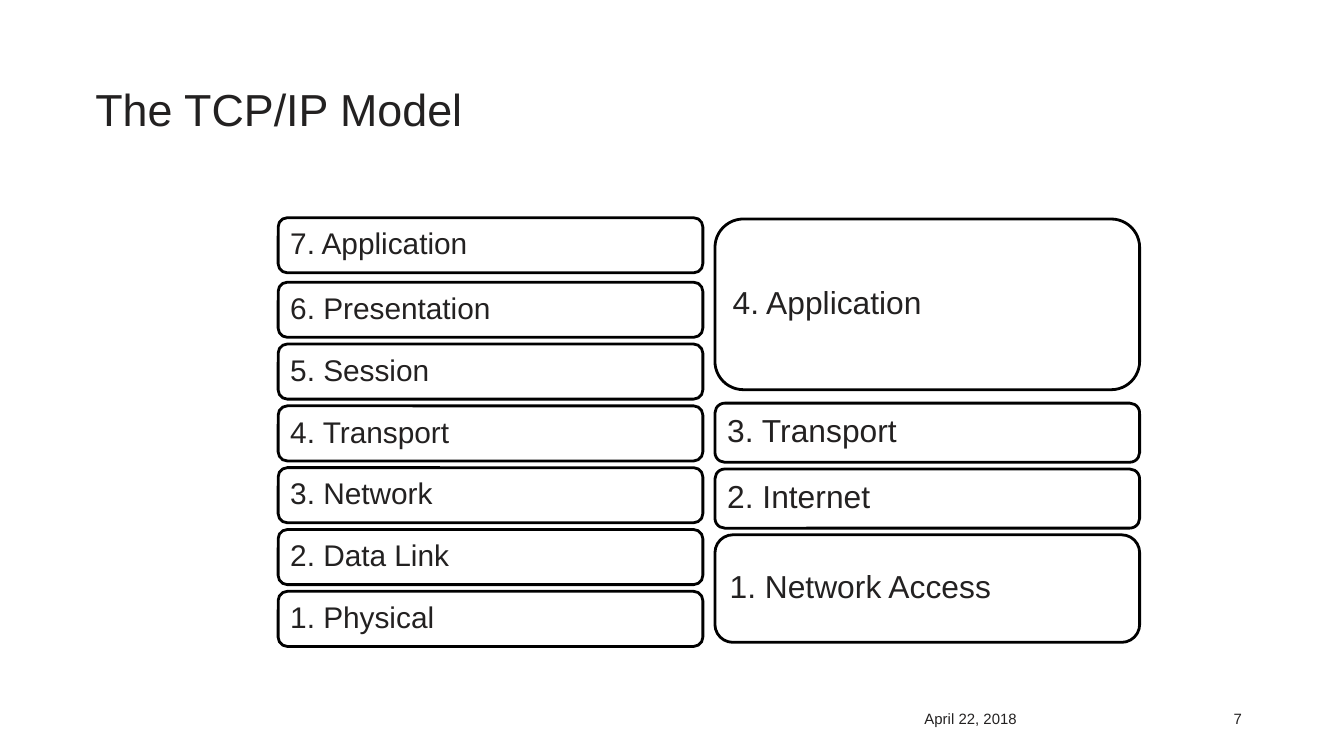
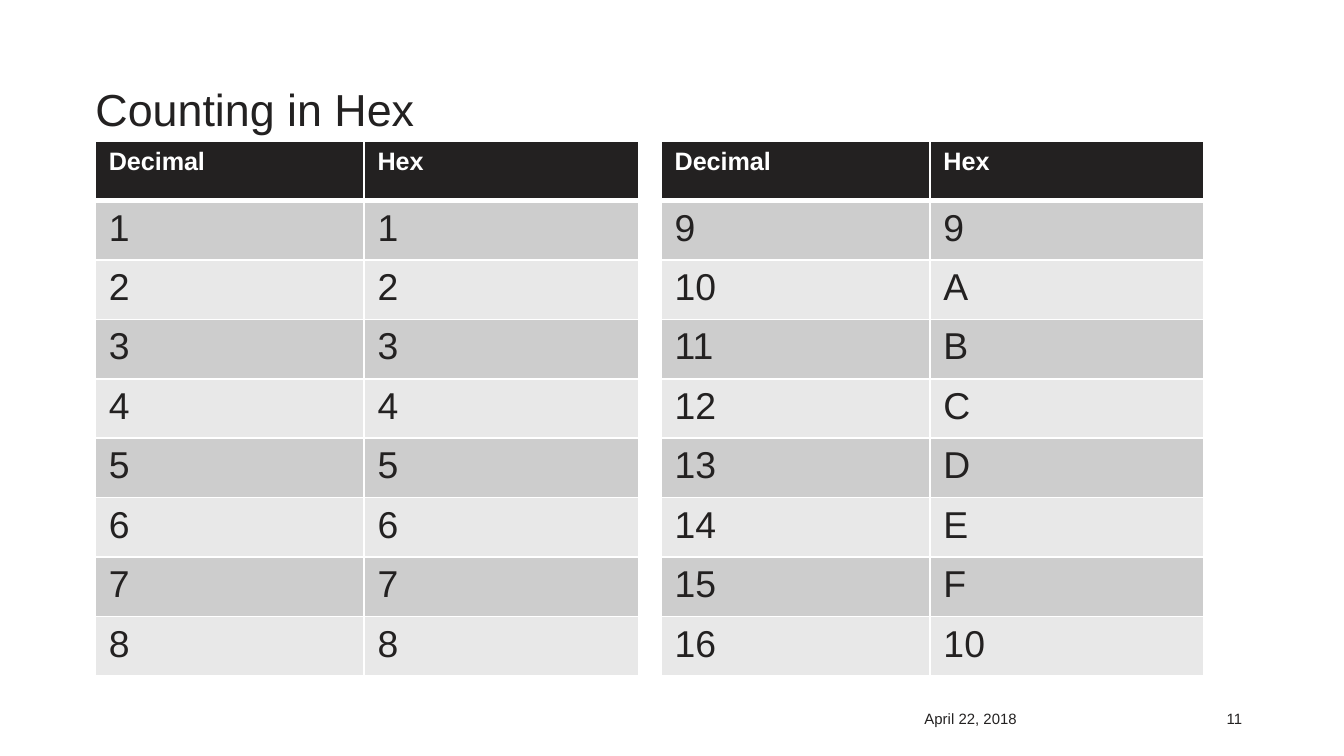
from lxml import etree
from pptx import Presentation
from pptx import util as u
from pptx.dml.color import RGBColor
from pptx.enum import shapes, text
from pptx.oxml import ns

COLORS = {"ink": "232121", "paper": "FFFFFF", "outline": "000000",
          "band_dark": "CDCDCD", "band_light": "E8E8E8"}
FONT = "Arial"


def write(frame, words, size, color="ink", bold=False):
    frame.text = words
    paragraph = frame.paragraphs[0]
    font = paragraph.runs[0].font
    font.name, font.size, font.bold = FONT, u.Pt(size), bold
    font.color.rgb = RGBColor.from_string(COLORS[color])
    return paragraph


def add_borders(cell, widths):
    properties = cell._tc.get_or_add_tcPr()
    for position, (side, width) in enumerate(widths.items()):
        line = etree.Element(ns.qn(f"a:ln{side}"), w=str(u.Pt(width)))
        fill = etree.SubElement(line, ns.qn("a:solidFill"))
        etree.SubElement(fill, ns.qn("a:srgbClr"), val=COLORS["paper"])
        properties.insert(position, line)


deck = Presentation()
deck.slide_width, deck.slide_height = u.Inches(10), u.Inches(10 * 9 / 16)

slides = []
for heading, number in [("The TCP/IP Model", "7"), ("Counting in Hex", "11")]:
    slide = deck.slides.add_slide(deck.slide_layouts[6])
    slides.append(slide)
    title = slide.shapes.add_textbox(
        u.Inches(0.71), u.Inches(0.65), u.Inches(8.62), u.Inches(0.82)).text_frame
    title.word_wrap = True
    title.margin_left = title.margin_right = title.margin_top = title.margin_bottom = 0
    write(title, heading, 24).line_spacing = 0.9
    for left, width, words, align in [
            (6.78, 2.05, "April 22, 2018", text.PP_ALIGN.LEFT),
            (8.83, 0.51, number, text.PP_ALIGN.RIGHT)]:
        footer = slide.shapes.add_textbox(
            u.Inches(left), u.Inches(5.23), u.Inches(width), u.Inches(0.2)).text_frame
        footer.word_wrap = True
        write(footer, words, 8).alignment = align
model_slide, hex_slide = slides

osi_names = ["Application", "Presentation", "Session", "Transport",
             "Network", "Data Link", "Physical"]
osi_tops = [1.62] + [2.1 + 0.46 * step for step in range(6)]
osi_layers = [(name, top, 0.41) for name, top in zip(osi_names, osi_tops)]
tcp_layers = [("Application", 1.63, 1.27), ("Transport", 3, 0.44),
              ("Internet", 3.49, 0.44), ("Network Access", 3.98, 0.8)]

for left, size, layers in [(2.07, 16, osi_layers), (5.32, 17, tcp_layers)]:
    for index, (name, top, height) in enumerate(layers):
        layer = model_slide.shapes.add_shape(
            shapes.MSO_SHAPE.ROUNDED_RECTANGLE,
            u.Inches(left), u.Inches(top), u.Inches(3.16), u.Inches(height))
        layer.shadow.inherit = False
        layer.fill.solid()
        layer.fill.fore_color.rgb = RGBColor.from_string(COLORS["paper"])
        layer.line.color.rgb = RGBColor.from_string(COLORS["outline"])
        layer.line.width = u.Pt(1.5)
        frame = layer.text_frame
        frame.word_wrap = True
        frame.vertical_anchor = text.MSO_ANCHOR.MIDDLE
        frame.margin_left = frame.margin_right = u.Inches(0.07)
        frame.margin_top = frame.margin_bottom = u.Inches(0.07)
        label = write(frame, f"{len(layers) - index}. {name}", size)
        label.alignment = text.PP_ALIGN.LEFT
        label.line_spacing = 0.9

for left, first in [(0.71, 1), (4.92, 9)]:
    counting = hex_slide.shapes.add_table(
        9, 2, u.Inches(left), u.Inches(1.05), u.Inches(4.04), u.Inches(3.98)).table
    counting.first_row = True
    counting.horz_banding = False
    counting.columns[0].width, counting.columns[1].width = u.Inches(2), u.Inches(2.04)
    rows = [("Decimal", "Hex")] + [(str(n), f"{n:X}") for n in range(first, first + 8)]
    for r, values in enumerate(rows):
        counting.rows[r].height = u.Inches(3.98 / 9)
        band = "ink" if r == 0 else "band_dark" if r % 2 else "band_light"
        for c, value in enumerate(values):
            cell = counting.cell(r, c)
            cell.fill.solid()
            cell.fill.fore_color.rgb = RGBColor.from_string(COLORS[band])
            add_borders(cell, {"L": 1, "R": 1, "T": 3 if r == 1 else 1,
                               "B": 3 if r == 0 else 1})
            if r == 0:
                write(cell.text_frame, value, 13.5, "paper", True)
            else:
                write(cell.text_frame, value, 20)

deck.save("out.pptx")
